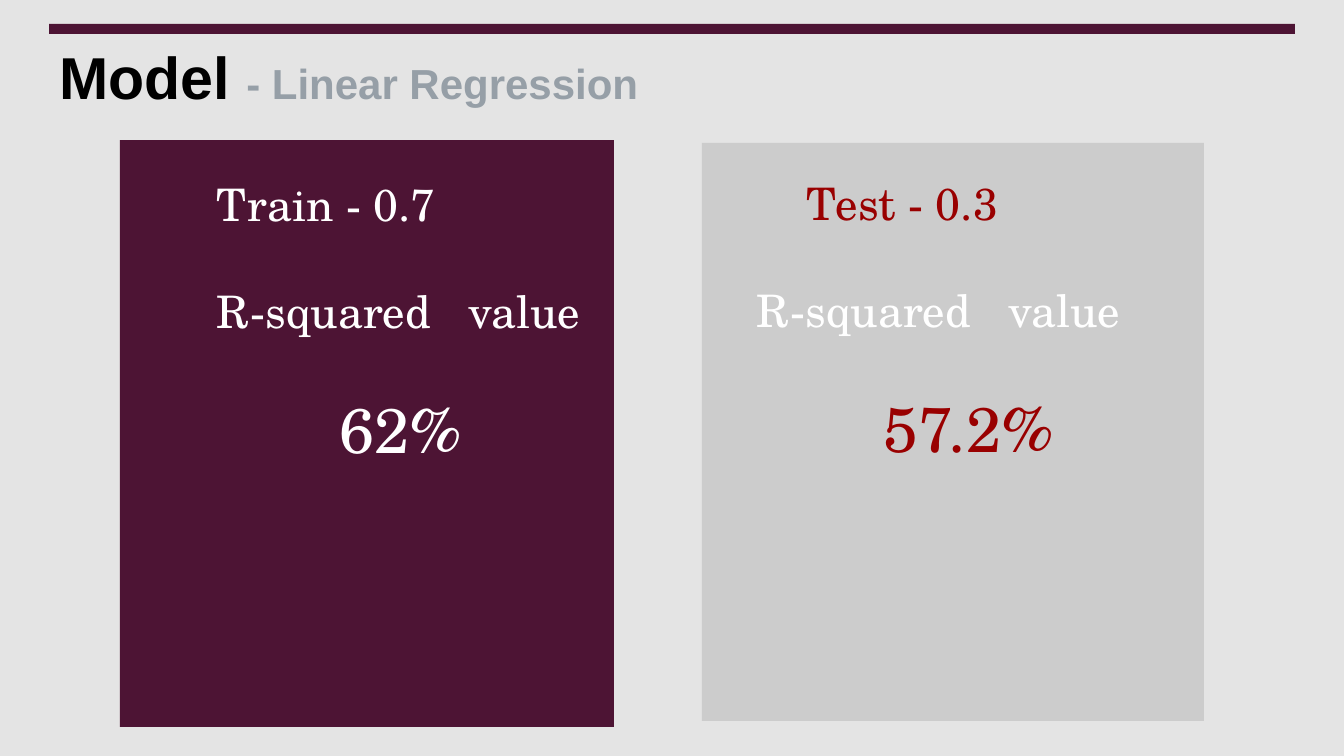
from pptx import Presentation
from pptx.dml.color import RGBColor
from pptx.enum.shapes import MSO_SHAPE
from pptx.enum.text import MSO_ANCHOR, MSO_AUTO_SIZE, PP_ALIGN
from pptx.util import Pt

PX = 914400 / 100.8
COLORS = {
    "back": "EBEBEB", "sheet": "E4E4E4", "plum": "4D1434", "gray": "CCCCCC",
    "black": "000000", "slate": "969FA7", "white": "FFFFFF", "red": "990000",
}
SERIF = "TeX Gyre Schola"

deck = Presentation()
deck.slide_width, deck.slide_height = round(1344 * PX), round(756 * PX)
slide = deck.slides.add_slide(deck.slide_layouts[5])
slide.background.fill.solid()
slide.background.fill.fore_color.rgb = RGBColor.from_string(COLORS["back"])


def add_rect(left, top, width, height, color):
    box = [round(n * PX) for n in (left, top, width, height)]
    rect = slide.shapes.add_shape(MSO_SHAPE.RECTANGLE, *box)
    rect.shadow.inherit = False
    rect.fill.solid()
    rect.fill.fore_color.rgb = RGBColor.from_string(COLORS[color])
    rect.line.fill.background()


def add_text(para, text, size, color, font=SERIF, bold=False,
             align=PP_ALIGN.LEFT, indent=0, before=0):
    para.alignment = align
    para.space_before = Pt(before)
    para._p.get_or_add_pPr().set("marL", str(round(indent * PX)))
    run = para.add_run()
    run.text = text
    run.font.size, run.font.name, run.font.bold = Pt(size), font, bold
    run.font.color.rgb = RGBColor.from_string(COLORS[color])


add_rect(0, 0, 1344, 756, "sheet")

# Title sits above the sheet
title = slide.shapes.title
slide.shapes._spTree.append(title._element)
title.left, title.top, title.width, title.height = [
    round(n * PX) for n in (49, 15, 1216, 121)]
frame = title.text_frame
frame.auto_size = MSO_AUTO_SIZE.NONE
frame.vertical_anchor = MSO_ANCHOR.MIDDLE
for text, size, color in [("Model ", 42.2, "black"),
                          ("- Linear Regression", 30, "slate")]:
    add_text(frame.paragraphs[0], text, size, color, font="Arial", bold=True)

add_rect(49, 24, 1246, 10, "plum")

# Card, text box, heading, heading indent, score, score indent, accent
panels = [
    ((120, 140, 494, 587, "plum"), (195, 172, 411, 498),
     "Train - 0.7", 12, "62%", 0, "white"),
    ((702, 143, 502, 578, "gray"), (735, 171, 455, 532),
     "Test - 0.3", 62, "57.2%", 12, "red"),
]
for card, area, head, inset, score, shift, accent in panels:
    add_rect(*card)
    box = slide.shapes.add_textbox(*[round(n * PX) for n in area])
    frame = box.text_frame
    frame.word_wrap = True
    add_text(frame.paragraphs[0], head, 32, accent, indent=inset)
    add_text(frame.add_paragraph(), "R-squared   value", 32, "white",
             indent=12, before=38)
    add_text(frame.add_paragraph(), score, 45, accent,
             align=PP_ALIGN.CENTER, indent=shift, before=38)

deck.save("out.pptx")
